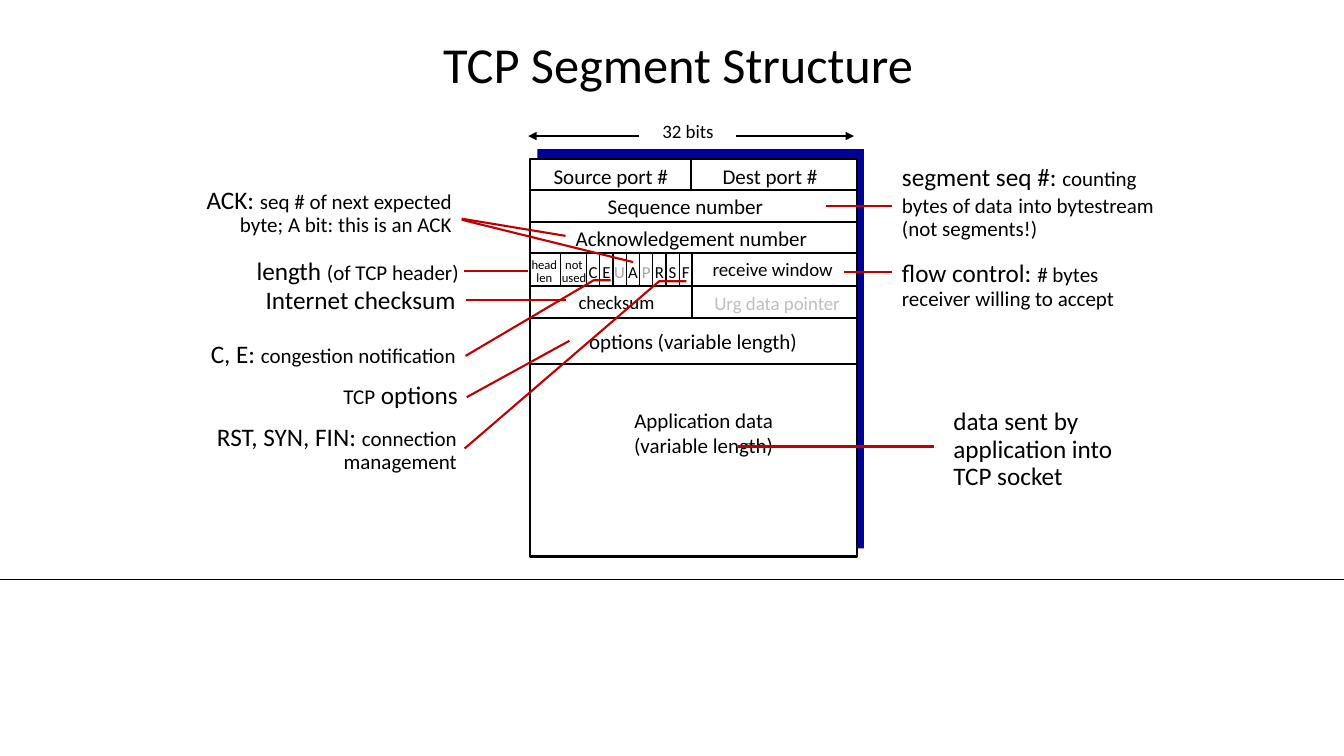
import dataclasses

import lxml.etree
import pptx
import pptx.dml.color
import pptx.enum.shapes
import pptx.enum.text
import pptx.oxml.ns
import pptx.util

Pt = pptx.util.Pt
ALIGN = pptx.enum.text.PP_ALIGN
ANCHOR = pptx.enum.text.MSO_ANCHOR


@dataclasses.dataclass(frozen=True)
class Theme:
    font: str = "Calibri"
    ink: str = "000000"
    paper: str = "FFFFFF"
    shade: str = "000099"
    red: str = "C00000"
    pale: str = "BFBFBF"
    grey: str = "A6A6A6"
    title: float = 36
    big: float = 18
    text: float = 15
    small: float = 13.5
    flag: float = 12
    tiny: float = 9


def color(code):
    return pptx.dml.color.RGBColor.from_string(code)


class Board:
    def __init__(self, slide, theme):
        self.shapes = slide.shapes
        self.theme = theme

    def panel(self, left, top, width, height, fill, edge=None):
        shape = self.shapes.add_shape(pptx.enum.shapes.MSO_SHAPE.RECTANGLE,
                                      Pt(left), Pt(top), Pt(width), Pt(height))
        shape.shadow.inherit = False
        shape.fill.solid()
        shape.fill.fore_color.rgb = color(fill)
        if edge:
            shape.line.color.rgb = color(edge)
            shape.line.width = Pt(1.5)
        else:
            shape.line.fill.background()

    def line(self, start, end, tint=None, width=1.5, arrow=False):
        link = self.shapes.add_connector(
            pptx.enum.shapes.MSO_CONNECTOR.STRAIGHT,
            Pt(start[0]), Pt(start[1]), Pt(end[0]), Pt(end[1]))
        link.line.color.rgb = color(tint or self.theme.ink)
        link.line.width = Pt(width)
        qn = pptx.oxml.ns.qn
        if arrow:
            edge = link.line._get_or_add_ln()
            lxml.etree.SubElement(edge, qn("a:tailEnd"), type="triangle")
        lxml.etree.SubElement(link._element.spPr, qn("a:effectLst"))

    def bend(self, start, *rest):
        pen = self.shapes.build_freeform(Pt(start[0]), Pt(start[1]), scale=1.0)
        pen.add_line_segments([(Pt(x), Pt(y)) for x, y in rest], close=False)
        shape = pen.convert_to_shape()
        shape.shadow.inherit = False
        shape.fill.background()
        shape.line.color.rgb = color(self.theme.red)
        shape.line.width = Pt(1.5)

    def box(self, left, top, width, height, wrap=True):
        frame = self.shapes.add_textbox(Pt(left), Pt(top), Pt(width),
                                        Pt(height)).text_frame
        frame.word_wrap = wrap
        return frame

    def style(self, run, size, tint=None):
        run.font.name = self.theme.font
        run.font.size = Pt(size)
        run.font.color.rgb = color(tint or self.theme.ink)

    def label(self, mid, top, width, text, size, tint=None, space=1.0):
        """Centred text, one paragraph for each line."""
        height = size * 1.22 * (text.count("\n") + 1) + 7.2
        frame = self.box(mid - width / 2, top, width, height, wrap=False)
        frame.text = text
        for para in frame.paragraphs:
            para.alignment = ALIGN.CENTER
            para.line_spacing = space
            for run in para.runs:
                self.style(run, size, tint)
        return frame

    def note(self, left, top, width, height, parts, align=ALIGN.LEFT):
        """Side remark made of (text, size) parts."""
        para = self.box(left, top, width, height).paragraphs[0]
        para.alignment = align
        para.line_spacing = 0.9
        for text, size in parts:
            run = para.add_run()
            run.text = text
            self.style(run, size)


def main():
    deck = pptx.Presentation()
    deck.slide_width, deck.slide_height = Pt(960), Pt(540)
    theme = Theme()
    board = Board(deck.slides.add_slide(deck.slide_layouts[6]), theme)
    big, text, small = theme.big, theme.text, theme.small

    # Title and rule
    board.line((0, 414), (960, 414), width=0.5)
    head = board.label(484.5, 22.3, 672, "TCP Segment Structure",
                       theme.title, space=0.9)
    head.vertical_anchor = ANCHOR.MIDDLE

    # Segment frame with its rows
    left, right = 378.5, 612
    rows = [113.5, 136, 158.5, 181, 204, 227, 260]
    board.panel(383.8, 106.6, 233.3, 285.1, theme.shade)
    board.panel(left, rows[0], right - left, 284, theme.paper, theme.ink)
    for y in rows[1:]:
        board.line((left, y), (right, y))
    board.line((493.5, rows[0]), (493.5, rows[1]))
    board.line((494.3, rows[3]), (494.3, rows[5]))

    # Width mark
    board.label(491.4, 82, 56, "32 bits", small)
    for start, end in ((525.6, 610), (456.5, 377.3)):
        board.line((start, 97.2), (end, 97.2), arrow=True)

    # Field names
    fields = [
        (436.3, 113, 106, "Source port #", text, theme.ink),
        (550, 113, 92, "Dest port #", text, theme.ink),
        (489.6, 134.6, 147, "Sequence number", text, theme.ink),
        (493.9, 157.7, 202, "Acknowledgement number", text, theme.ink),
        (551.9, 180.7, 109, "receive window", small, theme.ink),
        (440.3, 203.8, 76, "checksum", small, theme.ink),
        (555.1, 204.5, 115, "Urg data pointer", small, theme.pale),
        (495, 231.1, 176, "options (variable length)", text, theme.ink),
        (502.6, 287.3, 161, "Application data\n(variable length)", text,
         theme.ink),
    ]
    for field in fields:
        board.label(*field)
    for mid, name in ((388.8, "head\nlen"), (410, "not\nused")):
        board.label(mid, 181.4, 34, name, theme.tiny, space=0.85)

    # Flag bits
    board.line((400.3, rows[3]), (400.3, rows[4]), width=1)
    first, step = 419, 9.45
    for i, bit in enumerate("CEUAPRSF"):
        x = first + i * step
        board.line((x, rows[3]), (x, rows[4]), width=1)
        board.label(x + step / 2, 183.6, 22, bit, theme.flag,
                    theme.grey if bit in "UP" else theme.ink)

    # Notes on the left, set by their right edge
    wide = 217.4
    for edge, top, height, parts in [
        (329.8, 130.3, 43, [("ACK: ", big),
                            ("seq # of next expected byte; "
                             "A bit: this is an ACK", text)]),
        (334.8, 181.4, 27, [("length ", big), ("(of TCP header)", text)]),
        (332.6, 202.3, 27, [("Internet checksum", big)]),
        (332.6, 240.5, 27, [("C, E: ", big),
                            ("congestion notification", text)]),
        (334.1, 270, 27, [("TCP", text), (" options", big)]),
        (333.4, 299.5, 43, [("RST, SYN, FIN: ", big),
                            ("connection management", text)]),
    ]:
        board.note(edge - wide, top, wide, height, parts, ALIGN.RIGHT)

    # Notes on the right
    board.note(637.2, 113.8, wide, 63, [
        ("segment seq #: ", big), ("counting bytes of data", text),
        (" ", big), ("into bytestream", text), (" ", big),
        ("(not segments!)", text)])
    board.note(637.2, 182.9, 198.7, 43, [
        ("flow control: ", big), ("# bytes receiver willing to accept", text)])
    board.note(673.9, 288.7, 142.6, 86, [
        ("data sent by application into TCP socket", big)])

    # Pointers from notes to fields
    for start, end, width in [
        ((329.8, 156.2), (404, 168.5), 1.5),
        ((329.8, 157), (452.2, 187.2), 1.5),
        ((331.2, 193.7), (377.3, 193.7), 1.5),
        ((332.6, 214.6), (404.6, 214.6), 1.5),
        ((333.4, 283.7), (406.8, 243.4), 1.5),
        ((637.2, 146.9), (589.7, 146.9), 1.5),
        ((637.2, 194.4), (602.6, 194.4), 1.5),
        ((527, 319), (667.4, 319), 2),
    ]:
        board.line(start, end, theme.red, width)
    board.bend((332.6, 254.2), (424.1, 200.2), (436.3, 200.2))
    board.bend((331.9, 320.4), (470.9, 200.9), (490.3, 200.9))

    deck.save("out.pptx")


if __name__ == "__main__":
    main()
